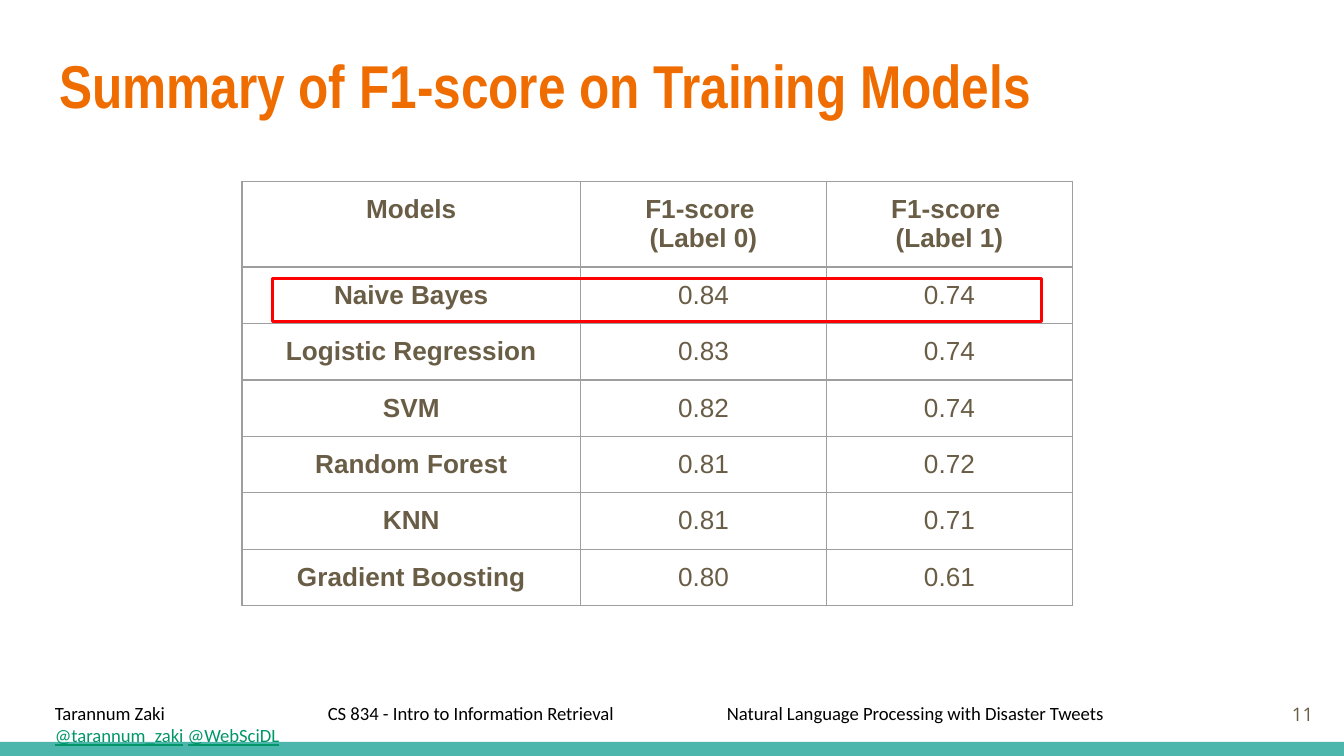
from pptx import Presentation
from pptx import util as u
from pptx.dml import color
from pptx.enum import shapes, text
from pptx.oxml import parse_xml
from pptx.oxml import ns

COLUMNS, ROWS = 100, 56.25
LEFT, CENTER, RIGHT = text.PP_ALIGN.LEFT, text.PP_ALIGN.CENTER, text.PP_ALIGN.RIGHT
TOP, MIDDLE = text.MSO_ANCHOR.TOP, text.MSO_ANCHOR.MIDDLE


def rgb(code):
    return color.RGBColor.from_string(code)


def grid(steps):
    return u.Inches(steps / 10)


class Deck:
    ORANGE, BROWN, TEAL, LINK = "EF6C00", "695D46", "4DB6AC", "009668"
    BLACK, GREY, RED = "000000", "9E9E9E", "FF0000"

    def __init__(self):
        self.show = Presentation()
        self.show.slide_width, self.show.slide_height = grid(COLUMNS), grid(ROWS)
        self.slide = self.show.slides.add_slide(self.show.slide_layouts[5])

    def run(self, paragraph, words, font, size, ink, bold=False, underline=False):
        run = paragraph.add_run()
        run.text = words
        run.font.name, run.font.size = font, u.Pt(size)
        run.font.bold, run.font.underline = bold, underline
        run.font.color.rgb = rgb(ink)

    def frame(self, holder, runs, font, size, align=LEFT, anchor=TOP, bold=False):
        frame = holder.text_frame
        frame.word_wrap = True
        frame.auto_size = text.MSO_AUTO_SIZE.NONE
        frame.vertical_anchor = anchor
        frame.margin_left = frame.margin_right = grid(1)
        frame.margin_top = frame.margin_bottom = grid(1)
        paragraph = frame.paragraphs[0]
        paragraph.alignment = align
        paragraph._p.get_or_add_pPr().set("defTabSz", str(grid(10)))
        for words, ink, underline in runs:
            self.run(paragraph, words, font, size, ink, bold, underline)

    def title(self, box, words):
        heading = self.slide.shapes.title
        heading.left, heading.top, heading.width, heading.height = map(grid, box)
        self.frame(heading, [(words, self.ORANGE, False)], "Arial Narrow", 32.4, bold=True)

    def label(self, box, runs, font, size, **layout):
        holder = self.slide.shapes.add_textbox(*map(grid, box))
        self.frame(holder, runs, font, size, **layout)

    def rectangle(self, box, fill=None, line=None):
        shape = self.slide.shapes.add_shape(shapes.MSO_SHAPE.RECTANGLE, *map(grid, box))
        shape.shadow.inherit = False
        if fill:
            shape.fill.solid()
            shape.fill.fore_color.rgb = rgb(fill)
        else:
            shape.fill.background()
        if line:
            shape.line.color.rgb = rgb(line)
            shape.line.width = u.Pt(1.5)
        else:
            shape.line.fill.background()

    def borders(self, cell):
        properties = cell._tc.get_or_add_tcPr()
        for place, side in enumerate(("lnL", "lnR", "lnT", "lnB")):
            properties.insert(place, parse_xml(
                f'<a:{side} {ns.nsdecls("a")} w="{u.Pt(0.75)}"><a:solidFill>'
                f'<a:srgbClr val="{self.GREY}"/></a:solidFill></a:{side}>'))

    def table(self, left, top, widths, row_height, full_height, records):
        holder = self.slide.shapes.add_table(
            len(records), len(widths), grid(left), grid(top),
            grid(sum(widths)), grid(full_height))
        table = holder.table
        table.first_row = table.horz_banding = False
        for column, width in zip(table.columns, widths):
            column.width = grid(width)
        for r, record in enumerate(records):
            table.rows[r].height = grid(row_height)
            for c, words in enumerate(record):
                cell = table.cell(r, c)
                cell.fill.background()
                cell.margin_left = cell.margin_right = grid(1)
                cell.margin_top = cell.margin_bottom = grid(1)
                for n, line in enumerate(words.split("\n")):
                    frame = cell.text_frame
                    paragraph = frame.add_paragraph() if n else frame.paragraphs[0]
                    paragraph.alignment = CENTER
                    self.run(paragraph, line, "Arial", 14, self.BROWN, r == 0 or c == 0)
                self.borders(cell)
        holder.height = grid(full_height)


def main():
    deck = Deck()
    deck.rectangle((0, 55.2, COLUMNS, 1.1), fill=deck.TEAL)
    deck.title((3.4, 2.6, 93.2, 7.7), "Summary of F1-score on Training Models")
    deck.label((92.7, 51, 6, 4.3), [("11", deck.BROWN, False)],
               "Open Sans", 10, align=RIGHT, anchor=MIDDLE)
    credits = ("Tarannum Zaki\t\t CS 834 - Intro to Information Retrieval\t"
               "Natural Language Processing with Disaster Tweets\t\t")
    deck.label((3.1, 51.2, 95.6, 3.7),
               [(credits, deck.BLACK, False), ("@tarannum_zaki", deck.LINK, True),
                (" ", deck.BLACK, False), ("@WebSciDL", deck.LINK, True)],
               "Calibri", 10)
    scores = [
        ("Models", "F1-score \n(Label 0)", "F1-score \n(Label 1)"),
        ("Naive Bayes", "0.84", "0.74"),
        ("Logistic Regression", "0.83", "0.74"),
        ("SVM", "0.82", "0.74"),
        ("Random Forest", "0.81", "0.72"),
        ("KNN", "0.81", "0.71"),
        ("Gradient Boosting", "0.80", "0.61"),
    ]
    deck.table(18, 13.5, (25.2, 18.3, 18.3), 4.2, 32.8, scores)
    deck.rectangle((20.3, 20.7, 57.2, 3.2), line=deck.RED)
    deck.show.save("out.pptx")


if __name__ == "__main__":
    main()
